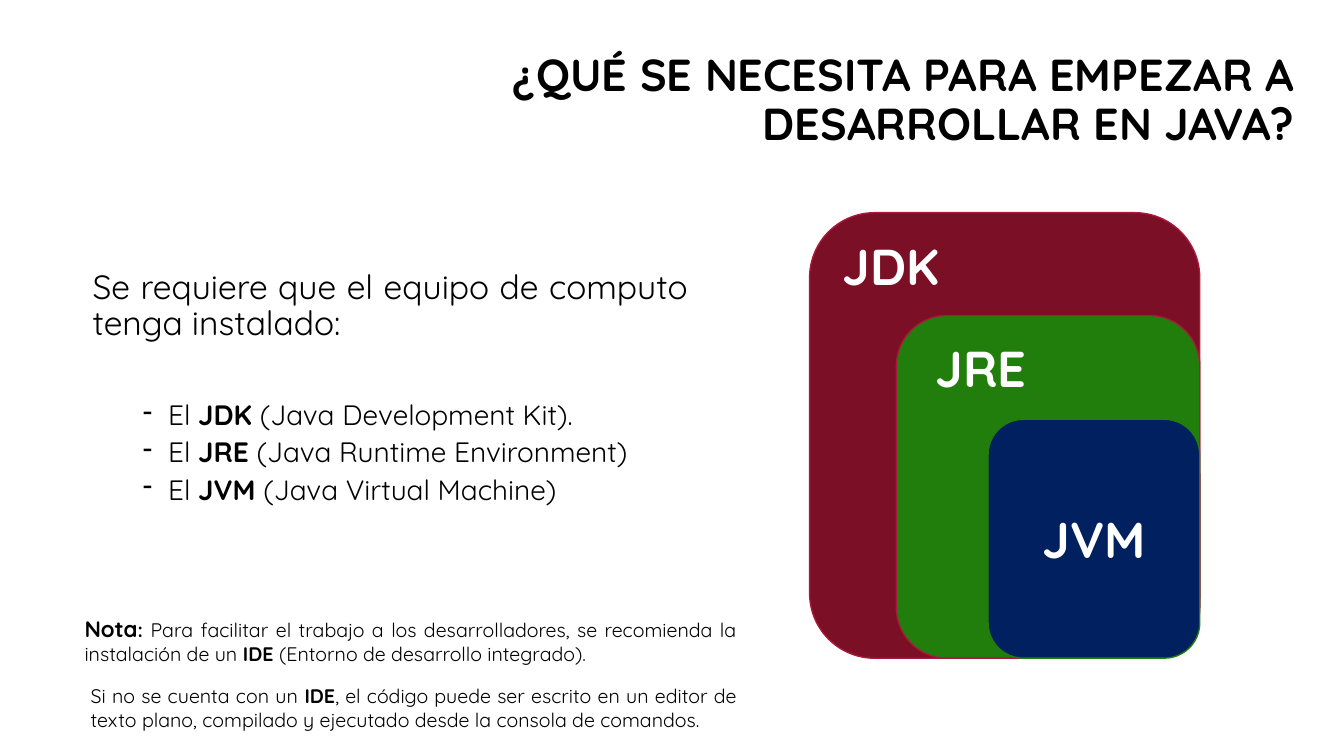
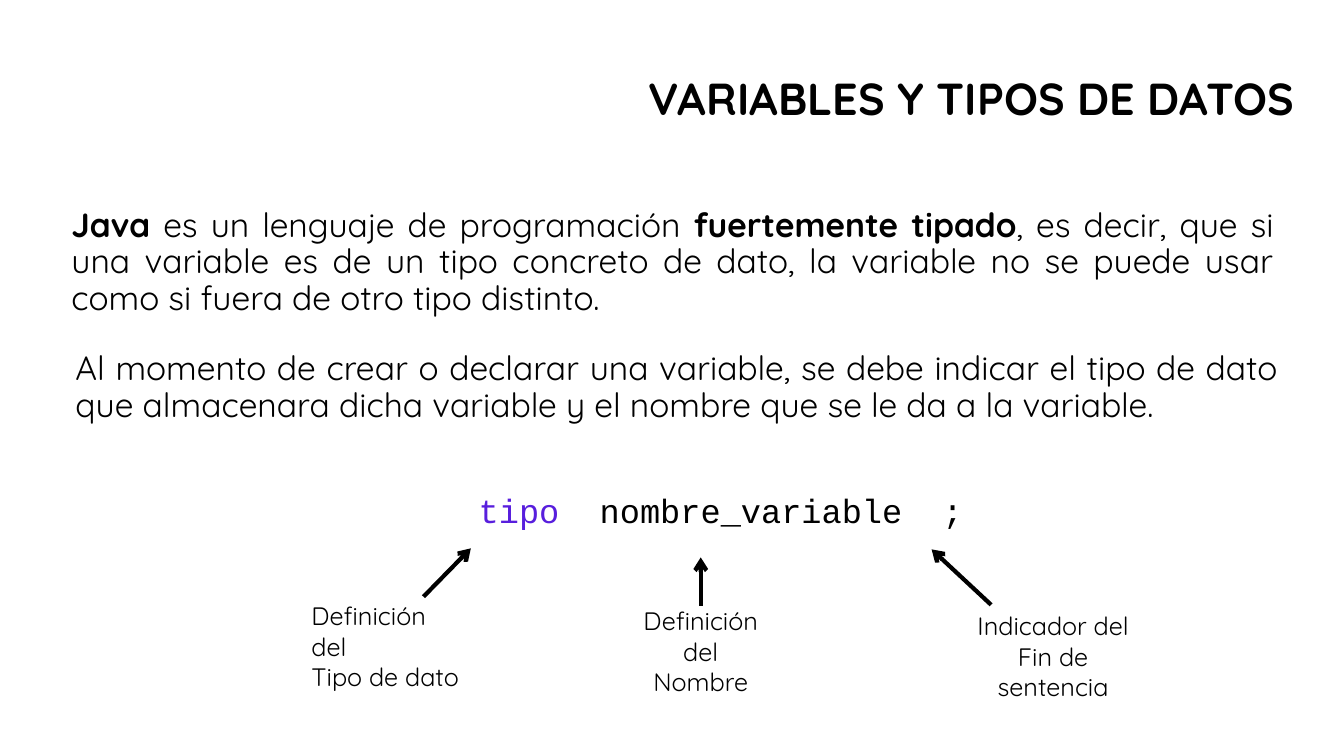
from dataclasses import dataclass
from lxml import etree
from pptx import Presentation
from pptx.dml.color import RGBColor
from pptx.enum.shapes import MSO_CONNECTOR, MSO_SHAPE
from pptx.enum.text import MSO_ANCHOR, PP_ALIGN
from pptx.oxml.ns import qn
from pptx.util import Emu, Pt

LEFT, CENTER, RIGHT, JUST = PP_ALIGN.LEFT, PP_ALIGN.CENTER, PP_ALIGN.RIGHT, PP_ALIGN.JUSTIFY
TOP, MIDDLE = MSO_ANCHOR.TOP, MSO_ANCHOR.MIDDLE
ROUND, STRAIGHT = MSO_SHAPE.ROUNDED_RECTANGLE, MSO_CONNECTOR.STRAIGHT
SCALE = 9144


@dataclass(frozen=True)
class Theme:
    font: str = "Quicksand"
    mono: str = "Courier New"
    ink: str = "000000"
    white: str = "FFFFFF"
    wine: str = "7B0F26"
    rose: str = "A9193A"
    green: str = "227E0C"
    navy: str = "002060"
    violet: str = "581EDD"
    title: int = 32
    body: int = 24
    item: int = 20
    label: int = 18
    note: int = 14
    lead: int = 16
    layer: int = 36
    tight: float = 0.9


T = Theme()
SIZE = (1333, 750)
TITLE = (476, 30, 818, 141)

NEEDS = {
    "title": "¿QUÉ SE NECESITA PARA EMPEZAR A DESARROLLAR EN JAVA?",
    "intro": "Se requiere que el equipo de computo tenga instalado:",
    "items": [
        "El *JDK* (Java Development Kit).",
        "El *JRE* (Java Runtime Environment)",
        "El *JVM* (Java Virtual Machine)",
    ],
    "notes": [
        ((74, 605, 667, 61),
         "*Nota**:* Para facilitar el trabajo a los desarrolladores, se recomienda "
         "la instalación de un *IDE* (Entorno de desarrollo integrado)."),
        ((80, 674, 661, 57),
         "Si no se cuenta con un *IDE*, el código puede ser escrito en un editor de "
         "texto plano, compilado y ejecutado desde la consola de comandos."),
    ],
}
CORNER = (1190, 653)
LAYERS = [
    ("JDK", (803, 211), T.wine, T.rose, (826, 228, 121, 71)),
    ("JRE", (889, 313), T.green, T.rose, (918, 329, 118, 71)),
    ("JVM", (980, 416), T.navy, T.green, (1024, 499, 124, 71)),
]

TYPES = {
    "title": "VARIABLES Y TIPOS DE DATOS",
    "texts": [
        ((61, 202, 1212, 125),
         "*Java* es un lenguaje de programación *fuertemente tipado*, es decir, que "
         "si una variable es de un tipo concreto de dato, la variable no se puede "
         "usar como si fuera de otro tipo distinto."),
        ((65, 344, 1212, 110),
         "Al momento de crear o declarar una variable, se debe indicar el tipo de "
         "dato que almacenara dicha variable y el nombre que se le da a la variable."),
    ],
}
CODE = (465, 481, 20, 48)
WORDS = [("tipo", 0, T.violet), ("nombre_variable", 6, T.ink), (";", 23, T.ink)]
LABELS = [
    (["Definición del", "Tipo de dato"], (299, 591, 168, 101), LEFT,
     (420, 592), (467, 544)),
    (["Definición del", "Nombre"], (611, 596, 168, 101), CENTER,
     (695, 601), (695, 553)),
    (["Indicador del", "Fin de sentencia"], (947, 601, 195, 101), CENTER,
     (983, 600), (924, 545)),
]


def emu(vals):
    return [Emu(v * SCALE) for v in vals]


def rgb(code):
    return RGBColor.from_string(code)


def style(run, size, color=T.ink, bold=False, font=T.font):
    run.font.size = Pt(size)
    run.font.name = font
    run.font.bold = bold
    run.font.color.rgb = rgb(color)


def write(slide, at, lines, size, color=T.ink, bold=False, font=T.font,
          align=LEFT, space=1.0, before=0, anchor=TOP, wrap=True):
    frame = slide.shapes.add_textbox(*emu(at)).text_frame
    frame.word_wrap = wrap
    frame.vertical_anchor = anchor
    for i, line in enumerate(lines):
        para = frame.paragraphs[0] if i == 0 else frame.add_paragraph()
        para.alignment = align
        para.line_spacing = space
        para.space_before = Pt(before)
        for j, part in enumerate(line.split("*")):
            if part:
                run = para.add_run()
                run.text = part
                style(run, size, color, bold or j % 2 == 1, font)
    return frame


def dash(para):
    props = para._p.get_or_add_pPr()
    props.set("marL", str(75 * SCALE))
    props.set("indent", str(-25 * SCALE))
    etree.SubElement(props, qn("a:buChar")).set("char", "-")


def arrow(slide, start, end):
    line = slide.shapes.add_connector(STRAIGHT, *emu(start + end))
    line.line.color.rgb = rgb(T.ink)
    line.line.width = Pt(3)
    etree.SubElement(line.line._get_or_add_ln(), qn("a:tailEnd")).set("type", "arrow")
    etree.SubElement(line._element.spPr, qn("a:effectLst"))


def page(deck, title):
    slide = deck.slides.add_slide(deck.slide_layouts[6])
    write(slide, TITLE, [title], T.title, bold=True, align=RIGHT,
          space=T.tight, anchor=MIDDLE)
    return slide


def needs(deck):
    slide = page(deck, NEEDS["title"])
    body = write(slide, (82, 263, 610, 265), [NEEDS["intro"]] + NEEDS["items"],
                 T.body, align=JUST, space=T.tight, before=10)
    for i, para in enumerate(body.paragraphs[1:]):
        para.space_before = Pt(5 if i else 42)
        dash(para)
        for run in para.runs:
            run.font.size = Pt(T.item)
    notes = [write(slide, at, [text], T.note, align=JUST)
             for at, text in NEEDS["notes"]]
    notes[0].paragraphs[0].runs[0].font.size = Pt(T.lead)
    for name, (x, y), fill, edge, spot in LAYERS:
        box = slide.shapes.add_shape(ROUND, *emu((x, y, CORNER[0] - x, CORNER[1] - y)))
        box.shadow.inherit = False
        box.fill.solid()
        box.fill.fore_color.rgb = rgb(fill)
        box.line.color.rgb = rgb(edge)
        box.line.width = Pt(1)
        write(slide, spot, [name], T.layer, T.white, bold=True, wrap=False)


def types(deck):
    slide = page(deck, TYPES["title"])
    for at, text in TYPES["texts"]:
        write(slide, at, [text], T.body, align=JUST, space=T.tight, before=10)
    x, y, step, high = CODE
    for word, col, color in WORDS:
        write(slide, (x + col * step, y, (len(word) + 1) * step, high), [word],
              T.body, color, font=T.mono, wrap=False)
    for lines, at, align, start, end in LABELS:
        write(slide, at, lines, T.label, align=align)
        arrow(slide, start, end)


def main():
    deck = Presentation()
    deck.slide_width, deck.slide_height = emu(SIZE)
    needs(deck)
    types(deck)
    deck.save("out.pptx")


if __name__ == "__main__":
    main()
